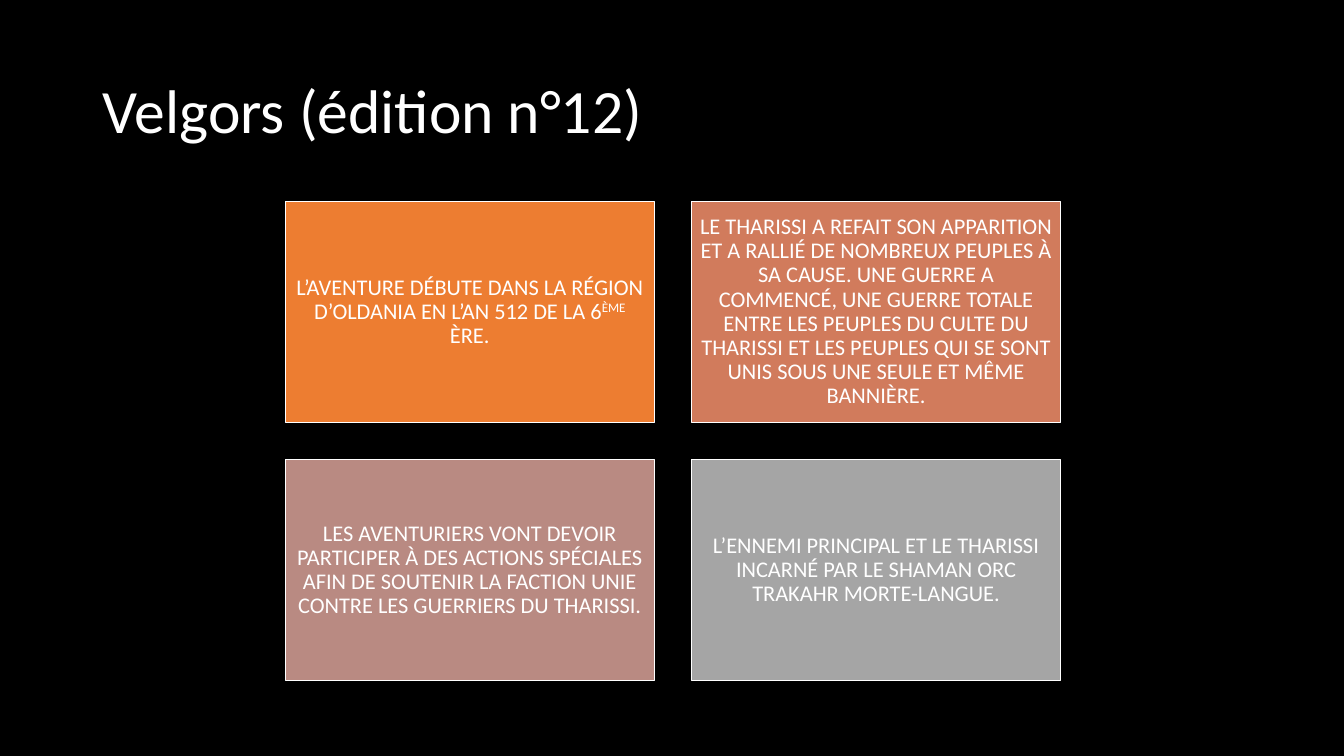
from dataclasses import dataclass

from pptx import Presentation
from pptx.dml.color import RGBColor
from pptx.enum.shapes import MSO_SHAPE
from pptx.enum.text import MSO_ANCHOR, MSO_AUTO_SIZE, PP_ALIGN
from pptx.slide import Slide
from pptx.text.text import TextFrame, _Paragraph as Paragraph
from pptx.util import Inches, Pt


@dataclass(frozen=True)
class Theme:
    font: str = "Calibri"
    background: RGBColor = RGBColor.from_string("000000")
    text: RGBColor = RGBColor.from_string("FFFFFF")
    title_size: Pt = Pt(44)
    card_size: Pt = Pt(16)
    line_width: Pt = Pt(1)
    line_spacing: float = 0.9
    superscript: str = "30000"


@dataclass(frozen=True)
class Card:
    fill: str
    text: str
    superscript: str = ""
    ending: str = ""


THEME = Theme()
TITLE = "Velgors (édition n°12)"
CARDS = [
    Card("ED7D31", "L’AVENTURE DÉBUTE DANS LA RÉGION D’OLDANIA EN L’AN 512 DE LA 6",
         "ÈME", " ÈRE."),
    Card("D17B5C", "LE THARISSI A REFAIT SON APPARITION ET A RALLIÉ DE NOMBREUX "
         "PEUPLES À SA CAUSE. UNE GUERRE A COMMENCÉ, UNE GUERRE TOTALE ENTRE LES "
         "PEUPLES DU CULTE DU THARISSI ET LES PEUPLES QUI SE SONT UNIS SOUS UNE "
         "SEULE ET MÊME BANNIÈRE."),
    Card("B98A82", "LES AVENTURIERS VONT DEVOIR PARTICIPER À DES ACTIONS SPÉCIALES "
         "AFIN DE SOUTENIR LA FACTION UNIE CONTRE LES GUERRIERS DU THARISSI."),
    Card("A5A5A5", "L’ENNEMI PRINCIPAL ET LE THARISSI INCARNÉ PAR LE SHAMAN ORC "
         "TRAKAHR MORTE-LANGUE."),
]
COLUMNS = 2
GRID_LEFT, GRID_TOP = 2.83, 2.0
CARD_WIDTH, CARD_HEIGHT = 3.66, 2.19
GAP = 0.37


def set_all(target: object, values: dict[str, object]) -> None:
    for name, value in values.items():
        setattr(target, name, value)


def format_frame(tf: TextFrame, align: PP_ALIGN, margin: float) -> Paragraph:
    """Set up the frame and return its first paragraph."""
    sides = ("left", "top", "right", "bottom")
    set_all(tf, {f"margin_{side}": Inches(margin) for side in sides})
    set_all(tf, {"word_wrap": True, "auto_size": MSO_AUTO_SIZE.NONE,
                 "vertical_anchor": MSO_ANCHOR.MIDDLE})
    p = tf.paragraphs[0]
    set_all(p, {"alignment": align, "line_spacing": THEME.line_spacing})
    return p


def add_run(p: Paragraph, text: str, size: Pt, raised: bool = False) -> None:
    r = p.add_run()
    r.text = text
    set_all(r.font, {"name": THEME.font, "size": size})
    r.font.color.rgb = THEME.text
    if raised:
        r._r.get_or_add_rPr().set("baseline", THEME.superscript)


def add_title(s: Slide, text: str) -> None:
    title = s.shapes.title
    set_all(title, {"left": Inches(0.92), "top": Inches(0.4),
                    "width": Inches(11.5), "height": Inches(1.45)})
    p = format_frame(title.text_frame, PP_ALIGN.LEFT, 0.1)
    add_run(p, text, THEME.title_size)


def add_card(s: Slide, card: Card, left: float, top: float) -> None:
    sp = s.shapes.add_shape(MSO_SHAPE.RECTANGLE, Inches(left), Inches(top),
                            Inches(CARD_WIDTH), Inches(CARD_HEIGHT))
    sp.shadow.inherit = False
    sp.fill.solid()
    sp.fill.fore_color.rgb = RGBColor.from_string(card.fill)
    sp.line.color.rgb = THEME.text
    sp.line.width = THEME.line_width
    p = format_frame(sp.text_frame, PP_ALIGN.CENTER, 0.07)
    add_run(p, card.text, THEME.card_size)
    if card.superscript:
        add_run(p, card.superscript, THEME.card_size, raised=True)
        add_run(p, card.ending, THEME.card_size)


def main() -> None:
    prs = Presentation()
    set_all(prs, {"slide_width": Inches(13.33), "slide_height": Inches(7.5)})
    s = prs.slides.add_slide(prs.slide_layouts.get_by_name("Title Only"))
    s.background.fill.solid()
    s.background.fill.fore_color.rgb = THEME.background
    add_title(s, TITLE)
    for i, card in enumerate(CARDS):
        row, column = divmod(i, COLUMNS)
        add_card(s, card, GRID_LEFT + column * (CARD_WIDTH + GAP),
                 GRID_TOP + row * (CARD_HEIGHT + GAP))
    prs.save("out.pptx")


if __name__ == "__main__":
    main()
